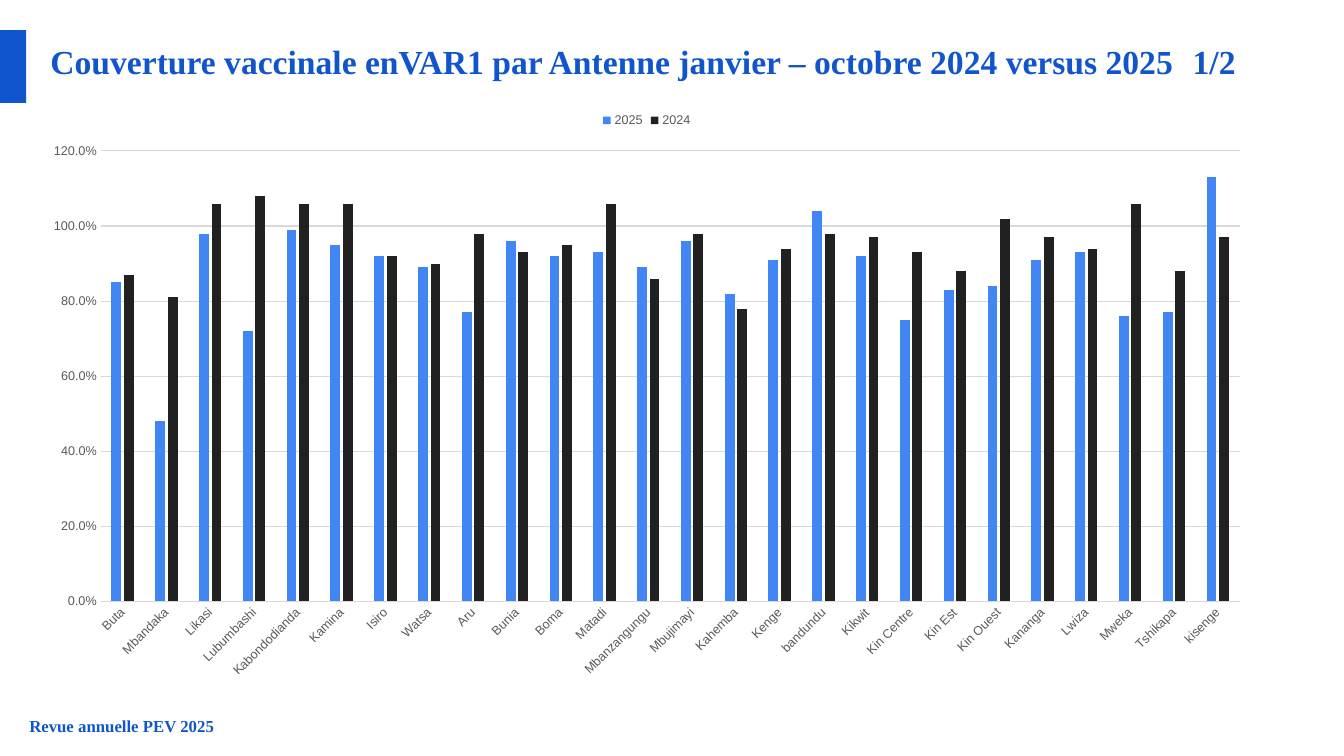
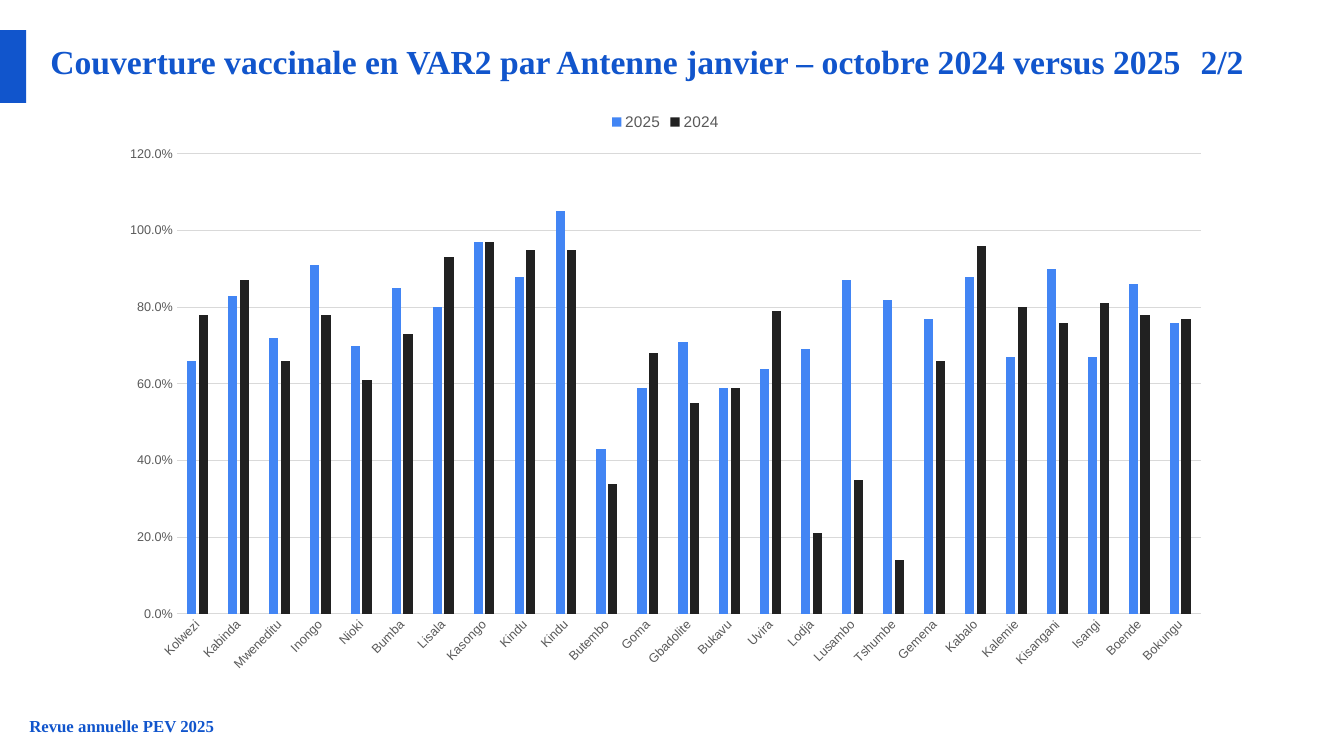
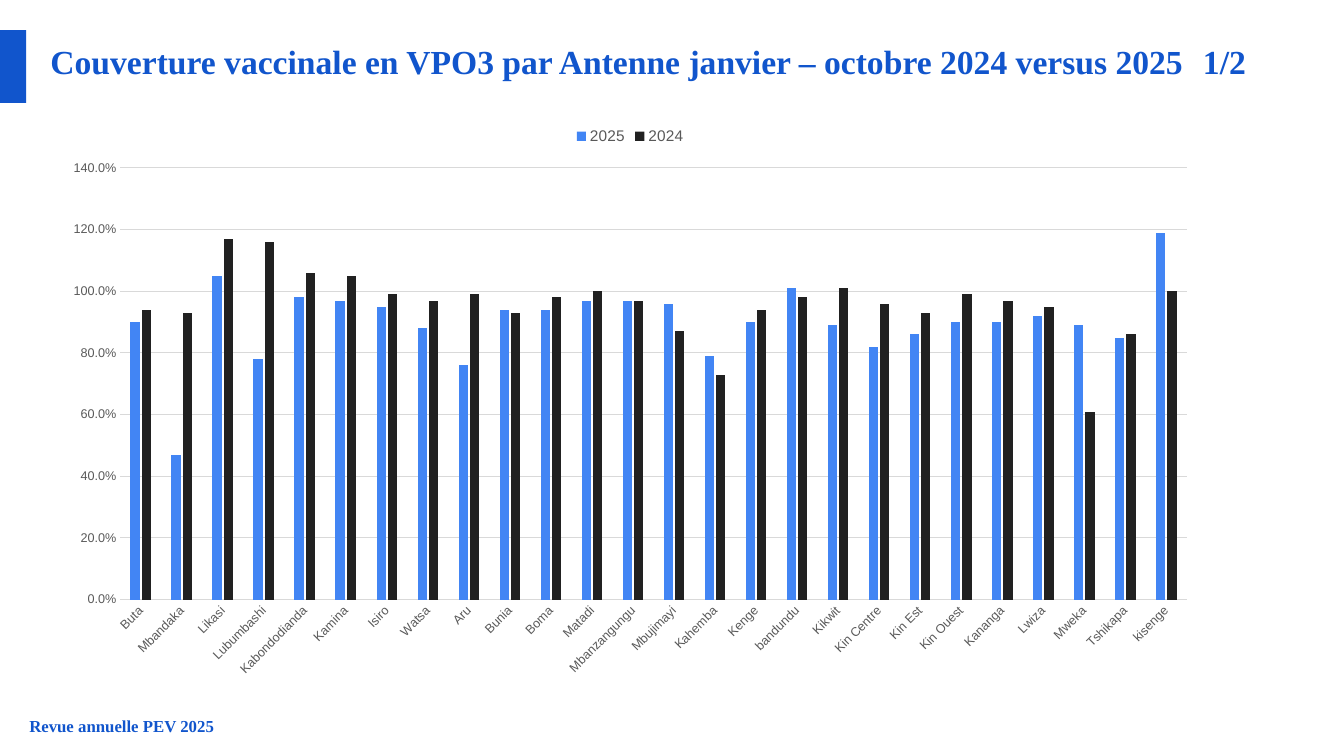
from dataclasses import dataclass

from pptx import Presentation
from pptx.chart.data import CategoryChartData as ChartData
from pptx.dml.color import RGBColor
from pptx.enum.chart import XL_CHART_TYPE as ChartType
from pptx.enum.chart import XL_LEGEND_POSITION as LegendPosition
from pptx.enum.chart import XL_TICK_MARK as TickMark
from pptx.enum.shapes import MSO_SHAPE as Preset
from pptx.enum.text import MSO_ANCHOR as Anchor
from pptx.oxml.ns import qn
from pptx.util import Inches, Pt

# Shared style
BLUE, GAP_BLUE = "1155CC", "0070C0"
GREY, RULE = "595959", "D9D9D9"
SERIES_COLOURS = {"2025": "4285F4", "2024": "212121"}
SERIF = {"name": "Times New Roman", "bold": True}
TITLE_FONT = {**SERIF, "size": Pt(24), "color": BLUE}
GAP_FONT = {**SERIF, "size": Pt(28), "color": GAP_BLUE}
FOOTER_FONT = {**SERIF, "size": Pt(12), "color": BLUE}
AXIS_FONT = {"name": "Arial", "size": Pt(9), "color": GREY}
FOOTER = "Revue annuelle PEV 2025"


@dataclass
class Frame:
    left: float
    top: float
    width: float
    height: float

    def lengths(self) -> tuple:
        return tuple(Inches(n) for n in (self.left, self.top, self.width, self.height))


@dataclass
class CoveragePage:
    vaccine: str
    number: str
    frame: Frame
    legend_size: int
    axis_top: float
    branches: tuple
    rates: dict


TITLE_FRAME = Frame(0.5, 0.35, 12.33, 0.8)
BAND_FRAME = Frame(0, 0.3, 0.26, 0.72)
FOOTER_FRAME = Frame(0.29, 7.1, 12.48, 0.2)

# Coverage data
FIRST_BRANCHES = (
    "Buta", "Mbandaka", "Likasi", "Lubumbashi", "Kabondodianda", "Kamina", "Isiro",
    "Watsa", "Aru", "Bunia", "Boma", "Matadi", "Mbanzangungu", "Mbujimayi", "Kahemba",
    "Kenge", "bandundu", "Kikwit", "Kin Centre", "Kin Est", "Kin Ouest", "Kananga",
    "Lwiza", "Mweka", "Tshikapa", "kisenge",
)
SECOND_BRANCHES = (
    "Kolwezi", "Kabinda", "Mweneditu", "Inongo", "Nioki", "Bumba", "Lisala", "Kasongo",
    "Kindu", "Kindu", "Butembo", "Goma", "Gbadolite", "Bukavu", "Uvira", "Lodja",
    "Lusambo", "Tshumbe", "Gemena", "Kabalo", "Kalemie", "Kisangani", "Isangi",
    "Boende", "Bokungu",
)
PAGES = (
    CoveragePage(
        "enVAR1", "1/2", Frame(0.29, 1.01, 12.25, 5.86), 9, 1.2, FIRST_BRANCHES,
        {
            "2025": (0.85, 0.48, 0.98, 0.72, 0.99, 0.95, 0.92, 0.89, 0.77, 0.96, 0.92,
                     0.93, 0.89, 0.96, 0.82, 0.91, 1.04, 0.92, 0.75, 0.83, 0.84, 0.91,
                     0.93, 0.76, 0.77, 1.13),
            "2024": (0.87, 0.81, 1.06, 1.08, 1.06, 1.06, 0.92, 0.9, 0.98, 0.93, 0.95,
                     1.06, 0.86, 0.98, 0.78, 0.94, 0.98, 0.97, 0.93, 0.88, 1.02, 0.97,
                     0.94, 1.06, 0.88, 0.97),
        },
    ),
    CoveragePage(
        "en VAR2", "2/2", Frame(1.07, 1.01, 11.06, 5.79), 11, 1.2, SECOND_BRANCHES,
        {
            "2025": (0.66, 0.83, 0.72, 0.91, 0.7, 0.85, 0.8, 0.97, 0.88, 1.05, 0.43,
                     0.59, 0.71, 0.59, 0.64, 0.69, 0.87, 0.82, 0.77, 0.88, 0.67, 0.9,
                     0.67, 0.86, 0.76),
            "2024": (0.78, 0.87, 0.66, 0.78, 0.61, 0.73, 0.93, 0.97, 0.95, 0.95, 0.34,
                     0.68, 0.55, 0.59, 0.79, 0.21, 0.35, 0.14, 0.66, 0.96, 0.8, 0.76,
                     0.81, 0.78, 0.77),
        },
    ),
    CoveragePage(
        "en VPO3", "1/2", Frame(0.5, 1.15, 11.5, 5.7), 11, 1.4, FIRST_BRANCHES,
        {
            "2025": (0.9, 0.47, 1.05, 0.78, 0.98, 0.97, 0.95, 0.88, 0.76, 0.94, 0.94,
                     0.97, 0.97, 0.96, 0.79, 0.9, 1.01, 0.89, 0.82, 0.86, 0.9, 0.9,
                     0.92, 0.89, 0.85, 1.19),
            "2024": (0.94, 0.93, 1.17, 1.16, 1.06, 1.05, 0.99, 0.97, 0.99, 0.93, 0.98,
                     1, 0.97, 0.87, 0.73, 0.94, 0.98, 1.01, 0.96, 0.93, 0.99, 0.97,
                     0.95, 0.61, 0.86, 1),
        },
    ),
)


def colour(code: str) -> RGBColor:
    return RGBColor.from_string(code)


def style_font(font, values: dict) -> None:
    for name, value in values.items():
        if name == "color":
            font.color.rgb = colour(value)
        else:
            setattr(font, name, value)


def style_rule(line) -> None:
    line.color.rgb = colour(RULE)
    line.width = Pt(0.75)


def add_text(page, frame: Frame, spans: list, right: float = 0, anchor=Anchor.TOP) -> list:
    text = page.shapes.add_textbox(*frame.lengths()).text_frame
    text.word_wrap = True
    text.vertical_anchor = anchor
    text.margin_left = text.margin_top = text.margin_bottom = 0
    text.margin_right = Inches(right)
    runs = []
    for words, values in spans:
        span = text.paragraphs[0].add_run()
        span.text = words
        style_font(span.font, values)
        runs.append(span)
    return runs


def add_furniture(page, item: CoveragePage) -> None:
    # Title, with a widened space before the page number
    title = f"Couverture vaccinale {item.vaccine} par Antenne janvier – octobre 2024 versus 2025"
    spans = [(title, TITLE_FONT), (" ", GAP_FONT), (item.number, TITLE_FONT)]
    gap = add_text(page, TITLE_FRAME, spans)[1]
    gap.font._element.set("spc", "700")

    # Side band
    band = page.shapes.add_shape(Preset.RECTANGLE, *BAND_FRAME.lengths())
    band.shadow.inherit = False
    band.fill.solid()
    band.fill.fore_color.rgb = colour(BLUE)
    band.line.fill.background()

    # Footer
    add_text(page, FOOTER_FRAME, [(FOOTER, FOOTER_FONT)], 0.13, Anchor.MIDDLE)


def add_coverage_chart(page, item: CoveragePage) -> None:
    # A leading space sets each slanted label off from its neighbour
    data = ChartData(number_format="0.0%")
    data.categories = [f" {branch}" for branch in item.branches]
    for year, rates in item.rates.items():
        data.add_series(year, rates)
    chart = page.shapes.add_chart(
        ChartType.COLUMN_CLUSTERED, *item.frame.lengths(), data
    ).chart
    chart.has_title = False
    style_font(chart.font, {"name": "Arial", "size": Pt(10), "color": "000000"})

    # Legend
    chart.has_legend = True
    chart.legend.position = LegendPosition.TOP
    chart.legend.include_in_layout = False
    style_font(chart.legend.font, {**AXIS_FONT, "size": Pt(item.legend_size)})

    # Columns
    plot = chart.plots[0]
    plot.gap_width, plot.overlap = 219, -27
    plot.vary_by_categories = False
    for series in plot.series:
        series.invert_if_negative = False
        series.format.fill.solid()
        series.format.fill.fore_color.rgb = colour(SERIES_COLOURS[series.name])

    # Axes
    branches, rates = chart.category_axis, chart.value_axis
    for axis in (branches, rates):
        axis.major_tick_mark = axis.minor_tick_mark = TickMark.NONE
        style_font(axis.tick_labels.font, AXIS_FONT)
    style_rule(branches.format.line)
    label_body = branches._element.find(qn("c:txPr")).find(qn("a:bodyPr"))
    label_body.set("rot", "-2700000")
    rates.minimum_scale, rates.maximum_scale, rates.major_unit = 0, item.axis_top, 0.2
    rates.format.line.fill.background()
    style_rule(rates.major_gridlines.format.line)
    rates.tick_labels.number_format = "0.0%"
    rates.tick_labels.number_format_is_linked = False


def main() -> None:
    deck = Presentation()
    deck.slide_width, deck.slide_height = Inches(13.33), Inches(7.5)
    for item in PAGES:
        page = deck.slides.add_slide(deck.slide_layouts[6])
        add_furniture(page, item)
        add_coverage_chart(page, item)
    deck.save("out.pptx")


if __name__ == "__main__":
    main()
